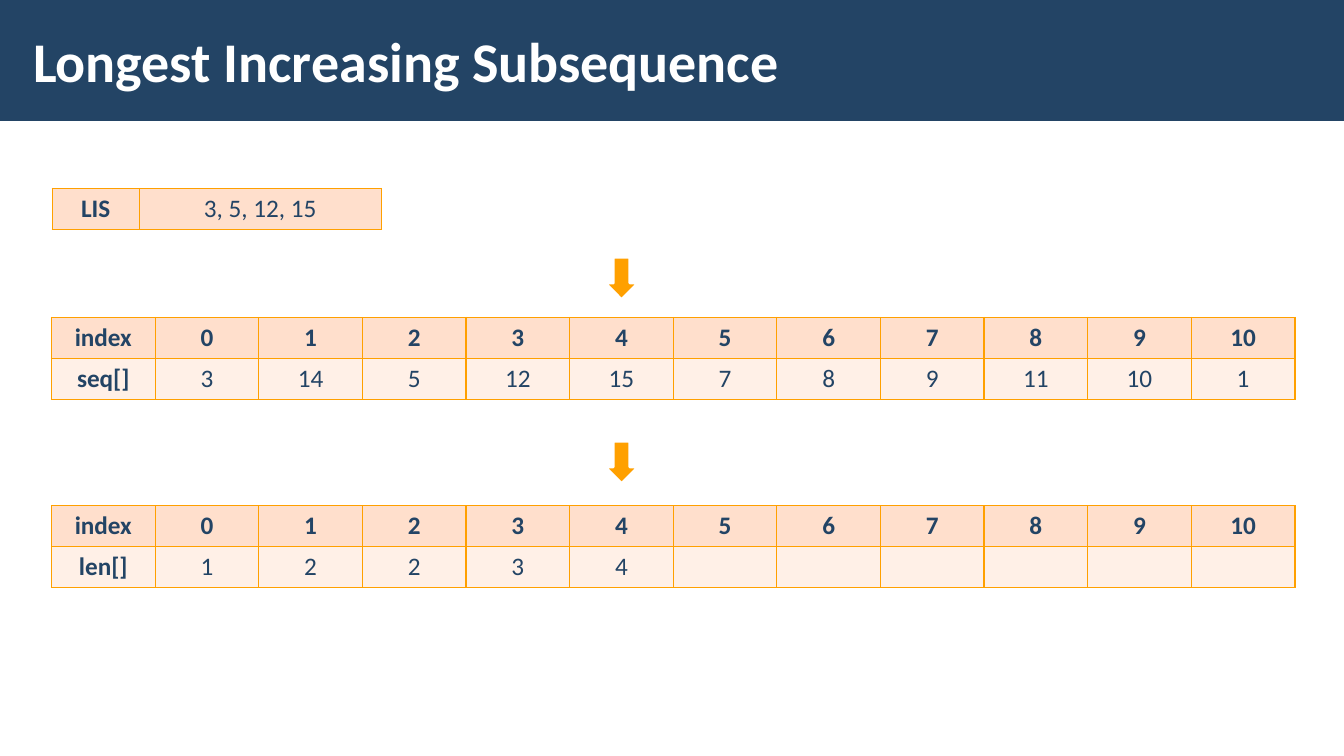
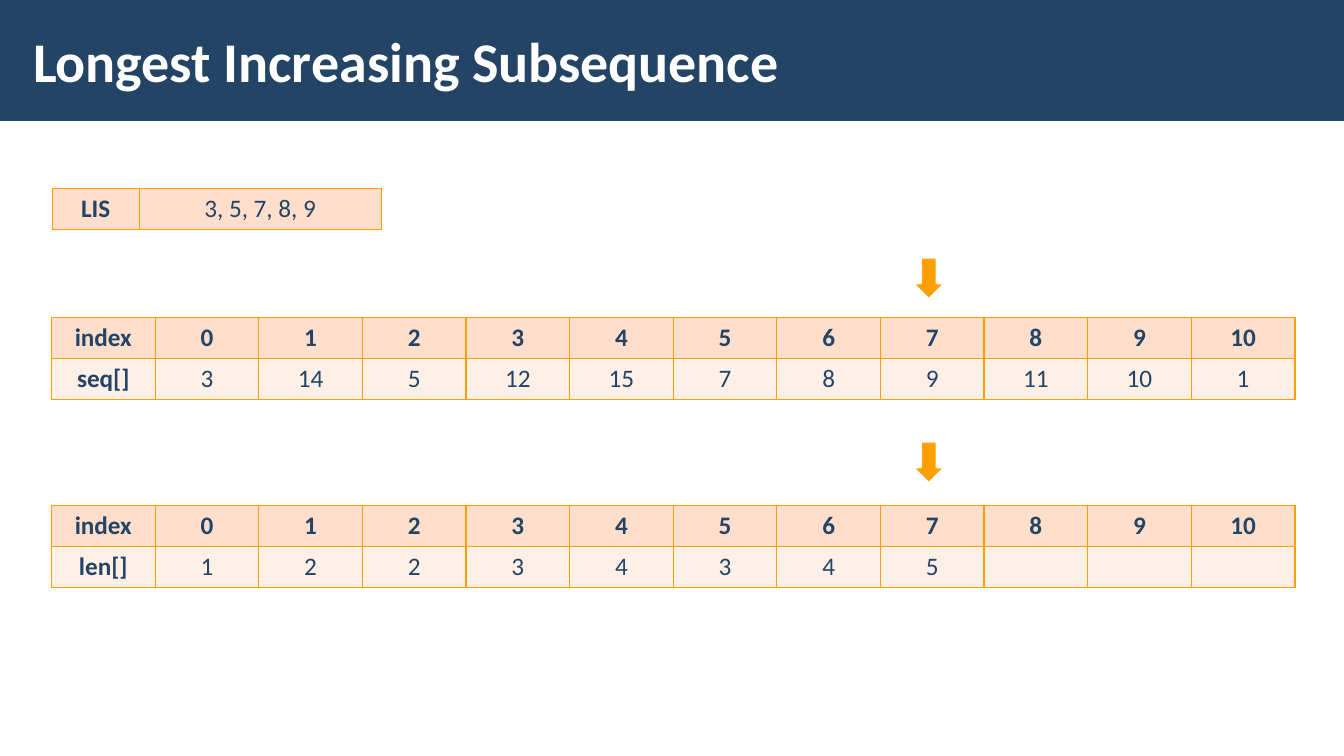
from dataclasses import dataclass

from lxml import etree
from pptx import Presentation
from pptx.dml.color import RGBColor
from pptx.enum import shapes, text
from pptx.oxml import ns
from pptx.util import Pt


@dataclass(frozen=True)
class Theme:
    font: str = "Calibri"
    navy: str = "234465"
    orange: str = "FFA000"
    peach: str = "FFDFCC"
    cream: str = "FFF0E7"
    white: str = "FFFFFF"
    title_size: int = 40
    cell_size: int = 18


THEME = Theme()
SLIDE_WIDTH, SLIDE_HEIGHT = 960, 540
ROW_HEIGHT = 29.2
GRID_LEFT, GRID_COLUMN = 36.8, 74.04
SEQUENCE = [3, 14, 5, 12, 15, 7, 8, 9, 11, 10, 1]
LENGTHS = [1, 2, 2, 3, 4, 3, 4, 5]
STEPS = [
    {"current": 4, "subsequence": "3, 5, 12, 15", "arrow_center": 444},
    {"current": 7, "subsequence": "3, 5, 7, 8, 9", "arrow_center": 663.4},
]


def color(value):
    return RGBColor.from_string(value)


def style_runs(paragraph, size, fill, bold):
    for run in paragraph.runs:
        run.font.name = THEME.font
        run.font.size = Pt(size)
        run.font.bold = bold
        run.font.color.rgb = color(fill)


def add_preset(slide, kind, left, top, width, height, fill):
    shape = slide.shapes.add_shape(kind, Pt(left), Pt(top), Pt(width), Pt(height))
    shape.shadow.inherit = False
    shape.fill.solid()
    shape.fill.fore_color.rgb = color(fill)
    shape.line.fill.background()
    return shape


def add_title(slide, title):
    add_preset(slide, shapes.MSO_SHAPE.RECTANGLE, 0, 0, SLIDE_WIDTH, 86.4, THEME.navy)
    box = slide.shapes.add_textbox(Pt(15), Pt(8), Pt(765), Pt(70))
    frame = box.text_frame
    frame.word_wrap = True
    frame.vertical_anchor = text.MSO_ANCHOR.MIDDLE
    frame.margin_left = frame.margin_right = Pt(8.64)
    frame.margin_top = frame.margin_bottom = Pt(3)
    frame.text = title
    style_runs(frame.paragraphs[0], THEME.title_size, THEME.white, True)


def add_down_arrow(slide, center, top):
    width = 23.6
    arrow = add_preset(slide, shapes.MSO_SHAPE.DOWN_ARROW,
                       center - width / 2, top, width, 30.2, THEME.orange)
    arrow.line.color.rgb = color(THEME.white)
    arrow.line.width = Pt(2)


def set_borders(cell):
    properties = cell._tc.get_or_add_tcPr()
    for side in ("lnL", "lnR", "lnT", "lnB"):
        line = etree.SubElement(properties, ns.qn(f"a:{side}"), w=str(Pt(1)))
        fill = etree.SubElement(line, ns.qn("a:solidFill"))
        etree.SubElement(fill, ns.qn("a:srgbClr"), val=THEME.orange)


def style_cell(cell, value, fill, bold):
    set_borders(cell)
    cell.fill.solid()
    cell.fill.fore_color.rgb = color(fill)
    cell.text_frame.text = str(value)
    paragraph = cell.text_frame.paragraphs[0]
    paragraph.alignment = text.PP_ALIGN.CENTER
    style_runs(paragraph, THEME.cell_size, THEME.navy, bold)


def add_grid(slide, left, top, widths, rows, bold_header):
    frame = slide.shapes.add_table(len(rows), len(widths), Pt(left), Pt(top),
                                   Pt(sum(widths)), Pt(ROW_HEIGHT * len(rows)))
    table = frame.table
    table.first_row = table.horz_banding = False
    for column, width in zip(table.columns, widths):
        column.width = Pt(width)
    for row_index, values in enumerate(rows):
        table.rows[row_index].height = Pt(ROW_HEIGHT)
        fill = THEME.cream if row_index else THEME.peach
        for column_index, value in enumerate(values):
            bold = column_index == 0 or (bold_header and row_index == 0)
            style_cell(table.cell(row_index, column_index), value, fill, bold)


def add_array(slide, top, label, values):
    count = len(SEQUENCE)
    padded = values + [""] * (count - len(values))
    rows = [["index", *range(count)], [label, *padded]]
    add_grid(slide, GRID_LEFT, top, [GRID_COLUMN] * (count + 1), rows, True)


def add_step(presentation, current, subsequence, arrow_center):
    slide = presentation.slides.add_slide(presentation.slide_layouts[6])
    add_title(slide, "Longest Increasing Subsequence")
    for top in (183.8, 315.2):
        add_down_arrow(slide, arrow_center, top)
    add_array(slide, 226.8, "seq[]", SEQUENCE)
    add_array(slide, 361.2, "len[]", LENGTHS[:current + 1])
    add_grid(slide, 37.4, 134.7, [62, 173], [["LIS", subsequence]], False)


def main():
    presentation = Presentation()
    presentation.slide_width = Pt(SLIDE_WIDTH)
    presentation.slide_height = Pt(SLIDE_HEIGHT)
    for step in STEPS:
        add_step(presentation, **step)
    presentation.save("out.pptx")


if __name__ == "__main__":
    main()
